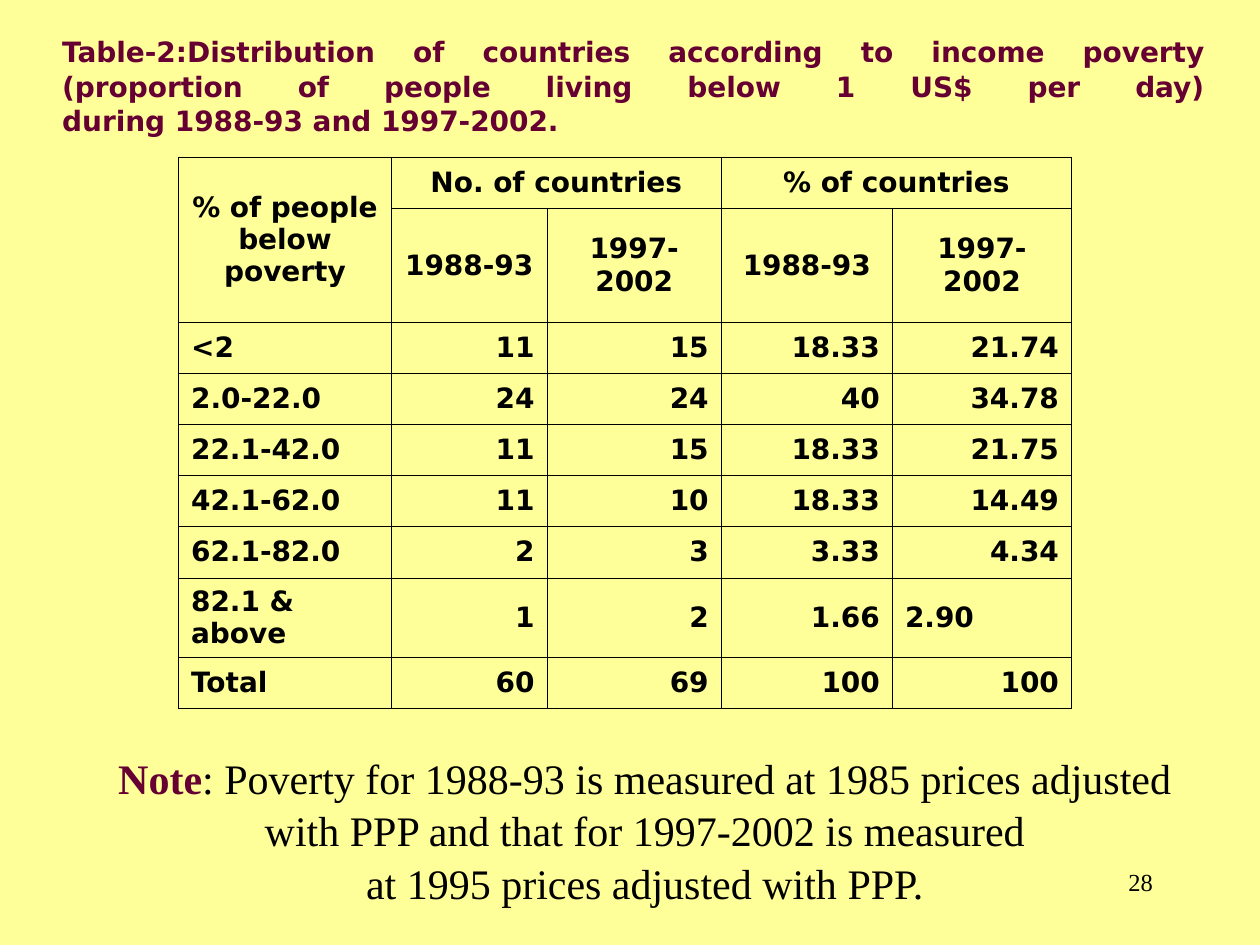
from copy import deepcopy
from dataclasses import dataclass

from pptx import Presentation
from pptx.dml.color import RGBColor
from pptx.enum.text import MSO_ANCHOR as Anchor, MSO_AUTO_SIZE as AutoSize, PP_ALIGN as Align
from pptx.oxml import parse_xml
from pptx.oxml.ns import nsdecls, qn
from pptx.util import Cm, Pt


@dataclass(frozen=True)
class Theme:
    background: str = "FFFF99"
    accent: str = "660033"
    ink: str = "000000"
    sans: str = "DejaVu Sans"
    serif: str = "Times New Roman"
    table_size: int = 16
    note_size: int = 24
    number_size: int = 14
    border_pt: float = 0.45


THEME = Theme()

TITLE = (
    "Table-2:Distribution of countries according to income poverty\v"
    "(proportion of people living below 1 US$ per day)\v"
    "during 1988-93 and 1997-2002."
)
NOTE_LABEL = "Note"
NOTE = (
    ": Poverty for 1988-93 is measured at 1985 prices adjusted\v"
    "with PPP and that for 1997-2002 is measured\v"
    "at 1995 prices adjusted with PPP."
)
PERIODS = ["1988-93", "1997-2002"]
HEADER = [
    ["% of people below poverty", "No. of countries", "", "% of countries", ""],
    [""] + PERIODS * 2,
]
DISTRIBUTION = [
    ["<2", "11", "15", "18.33", "21.74"],
    ["2.0-22.0", "24", "24", "40", "34.78"],
    ["22.1-42.0", "11", "15", "18.33", "21.75"],
    ["42.1-62.0", "11", "10", "18.33", "14.49"],
    ["62.1-82.0", "2", "3", "3.33", "4.34"],
    ["82.1 & above", "1", "2", "1.66", "2.90"],
    ["Total", "60", "69", "100", "100"],
]
LEFT_ALIGNED_VALUE = "2.90"
COLUMN_WIDTHS = [4.29, 3.14, 3.51, 3.45, 3.61]
ROW_HEIGHT = 1.03
TALL_ROWS = {1: 2.3, 7: 1.61}


def style_runs(paragraph, font_name, size, color, bold=False):
    for run in paragraph.runs:
        run.font.name = font_name
        run.font.size = Pt(size)
        run.font.bold = bold
        run.font.color.rgb = RGBColor.from_string(color)


def match_breaks(paragraph):
    """Give line breaks the format of the last run, so they keep its line height."""
    run_format = paragraph.runs[-1].font._element
    for line_break in paragraph._p.findall(qn("a:br")):
        line_break.insert(0, deepcopy(run_format))


def set_title(slide):
    title = slide.shapes.title
    title.left, title.top, title.width, title.height = Cm(1), Cm(0.55), Cm(23.55), Cm(2.3)
    frame = title.text_frame
    frame.auto_size = AutoSize.NONE
    frame.vertical_anchor = Anchor.TOP
    paragraph = frame.paragraphs[0]
    paragraph.text = TITLE
    paragraph.alignment = Align.JUSTIFY
    paragraph.line_spacing = 1.03
    style_runs(paragraph, THEME.sans, THEME.table_size, THEME.accent, bold=True)
    match_breaks(paragraph)


def draw_borders(cell):
    properties = cell._tc.get_or_add_tcPr()
    for position, side in enumerate(("lnL", "lnR", "lnT", "lnB")):
        properties.insert(position, parse_xml(
            f'<a:{side} {nsdecls("a")} w="{int(Pt(THEME.border_pt))}">'
            f'<a:solidFill><a:srgbClr val="{THEME.ink}"/></a:solidFill></a:{side}>'
        ))


def fill_cell(cell, text, alignment):
    cell.fill.background()
    draw_borders(cell)
    cell.vertical_anchor = Anchor.MIDDLE
    paragraph = cell.text_frame.paragraphs[0]
    paragraph.text = text
    paragraph.alignment = alignment
    style_runs(paragraph, THEME.sans, THEME.table_size, THEME.ink, bold=True)


def cell_alignment(row, column, text):
    if row < len(HEADER):
        return Align.CENTER
    if column == 0 or text == LEFT_ALIGNED_VALUE:
        return Align.LEFT
    return Align.RIGHT


def add_distribution_table(slide):
    rows = HEADER + DISTRIBUTION
    heights = [TALL_ROWS.get(row, ROW_HEIGHT) for row in range(len(rows))]
    table = slide.shapes.add_table(
        len(rows), len(COLUMN_WIDTHS), Cm(3.6), Cm(3.17),
        Cm(sum(COLUMN_WIDTHS)), Cm(sum(heights)),
    ).table
    table.first_row = table.horz_banding = False
    for column, width in zip(table.columns, COLUMN_WIDTHS):
        column.width = Cm(width)
    for row, height in zip(table.rows, heights):
        row.height = Cm(height)
    for r, values in enumerate(rows):
        for c, text in enumerate(values):
            fill_cell(table.cell(r, c), text, cell_alignment(r, c, text))
    table.cell(0, 0).merge(table.cell(1, 0))
    for first in (1, 3):
        table.cell(0, first).merge(table.cell(0, first + 1))


def add_text(slide, left, top, width, height, text, size, alignment):
    frame = slide.shapes.add_textbox(Cm(left), Cm(top), Cm(width), Cm(height)).text_frame
    frame.word_wrap = True
    paragraph = frame.paragraphs[0]
    paragraph.text = text
    paragraph.alignment = alignment
    style_runs(paragraph, THEME.serif, size, THEME.ink)
    return frame


def add_note(slide):
    frame = add_text(slide, 2.13, 15.06, 21.74, 3.3, NOTE_LABEL + NOTE,
                     THEME.note_size, Align.CENTER)
    frame.word_wrap = False
    frame.vertical_anchor = Anchor.MIDDLE
    paragraph = frame.paragraphs[0]
    paragraph.line_spacing = 1.04
    match_breaks(paragraph)
    opening = paragraph.runs[0]
    label = deepcopy(opening._r)
    opening._r.addprevious(label)
    opening.text = opening.text.removeprefix(NOTE_LABEL)
    label_run = paragraph.runs[0]
    label_run.text = NOTE_LABEL
    label_run.font.bold = True
    label_run.font.color.rgb = RGBColor.from_string(THEME.accent)


def main():
    presentation = Presentation()
    presentation.slide_width, presentation.slide_height = Cm(25.4), Cm(19.05)
    slide = presentation.slides.add_slide(presentation.slide_layouts[5])
    slide.background.fill.solid()
    slide.background.fill.fore_color.rgb = RGBColor.from_string(THEME.background)
    set_title(slide)
    add_distribution_table(slide)
    add_note(slide)
    add_text(slide, 18.21, 17.35, 5.28, 1.27, "28", THEME.number_size, Align.RIGHT)
    presentation.save("out.pptx")


if __name__ == "__main__":
    main()
